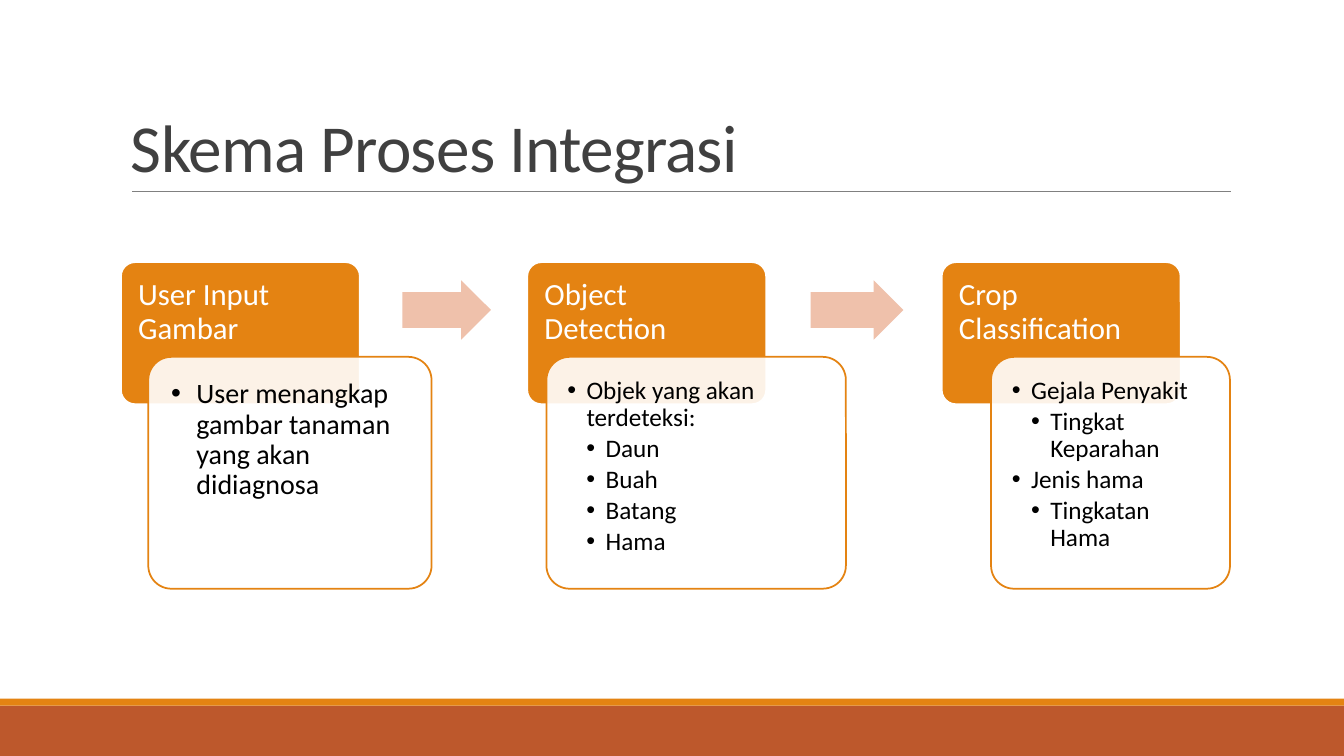
from lxml import etree
from pptx import Presentation
from pptx import util as u
from pptx.dml.color import RGBColor
from pptx.enum import shapes, text
from pptx.oxml import ns

THEME = {
    "font": "Calibri",
    "orange": "E48312", "rust": "BD582C", "peach": "EFC1AB", "white": "FFFFFF",
    "black": "000000", "title_ink": "404040", "rule": "808080",
    "title_size": 48, "header_size": 22, "outline": 1.25,
}
KIND = shapes.MSO_SHAPE

presentation = Presentation()
presentation.slide_width, presentation.slide_height = u.Inches(13.33), u.Inches(7.5)
slide = presentation.slides.add_slide(presentation.slide_layouts[6])

# The slide is a grid of 100 columns by 100 rows
COLUMN = presentation.slide_width / 100
ROW = presentation.slide_height / 100


def add_part(kind, left, top, columns, rows, fill, outline=None, adjustments=()):
    shape = slide.shapes.add_shape(kind, int(left * COLUMN), int(top * ROW),
                                   int(columns * COLUMN), int(rows * ROW))
    shape.shadow.inherit = False
    shape.fill.solid()
    shape.fill.fore_color.rgb = RGBColor.from_string(THEME[fill])
    if outline:
        shape.line.color.rgb = RGBColor.from_string(THEME[outline])
        shape.line.width = u.Pt(THEME["outline"])
    else:
        shape.line.fill.background()
    for index, value in enumerate(adjustments):
        shape.adjustments[index] = value
    return shape


def write(shape, paragraphs, size, color, frame_format, paragraph_format, indent=0):
    """Write (level, words) pairs; an indent in inches turns them into bullets."""
    frame = shape.text_frame
    frame.word_wrap = True
    for name, value in frame_format.items():
        setattr(frame, name, value)
    for index, (level, words) in enumerate(paragraphs):
        paragraph = frame.paragraphs[0] if index == 0 else frame.add_paragraph()
        paragraph.alignment = text.PP_ALIGN.LEFT
        for name, value in paragraph_format.items():
            setattr(paragraph, name, value)
        run = paragraph.add_run()
        run.text = words
        run.font.name, run.font.size = THEME["font"], u.Pt(size)
        run.font.color.rgb = RGBColor.from_string(THEME[color])
        if indent:
            paragraph.level = level
            properties = paragraph._p.get_or_add_pPr()
            properties.set("marL", str(u.Inches(indent * level)))
            properties.set("indent", str(-u.Inches(indent)))
            etree.SubElement(properties, ns.qn("a:buFont"), typeface="Arial")
            etree.SubElement(properties, ns.qn("a:buChar"), char="•")


# Footer bands
add_part(KIND.RECTANGLE, 0, 93.33, 100, 6.67, "rust")
add_part(KIND.RECTANGLE, 0, 92.4, 100, 0.93, "orange")

# Title and the rule below it
title = slide.shapes.add_textbox(int(9 * COLUMN), int(4.13 * ROW),
                                 int(82.5 * COLUMN), int(21.2 * ROW))
write(title, [(0, "Skema Proses Integrasi")], THEME["title_size"], "title_ink",
      {"vertical_anchor": text.MSO_ANCHOR.BOTTOM}, {"line_spacing": 0.85})
title.text_frame.paragraphs[0].runs[0].font._element.set("spc", "-50")

rule = slide.shapes.add_connector(shapes.MSO_CONNECTOR.STRAIGHT,
                                  int(9.83 * COLUMN), int(25.33 * ROW),
                                  int(91.6 * COLUMN), int(25.33 * ROW))
rule.line.color.rgb = RGBColor.from_string(THEME["rule"])
rule.line.width = u.Pt(0.5)
etree.SubElement(rule._element.spPr, ns.qn("a:effectLst"))

# Process steps: a header with a translucent detail card over its lower corner
steps = [
    {"header": "User Input Gambar", "left": 9, "card": (11.03, 21.08),
     "size": 20, "inset": 0.16, "indent": 0.25,
     "details": [(1, "User menangkap gambar tanaman yang akan didiagnosa")]},
    {"header": "Object Detection", "left": 39.23, "card": (40.66, 22.28),
     "size": 18, "inset": 0.14, "indent": 0.19,
     "details": [(1, "Objek yang akan terdeteksi:"), (2, "Daun"), (2, "Buah"),
                 (2, "Batang"), (2, "Hama")]},
    {"header": "Crop Classification", "left": 70.07, "card": (73.74, 17.78),
     "size": 18, "inset": 0.14, "indent": 0.19,
     "details": [(1, "Gejala Penyakit"), (2, "Tingkat Keparahan"),
                 (1, "Jenis hama"), (2, "Tingkatan Hama")]},
]
sides = ("margin_left", "margin_top", "margin_right", "margin_bottom")
for step in steps:
    header = add_part(KIND.ROUNDED_RECTANGLE, step["left"], 34.67, 17.78, 18.8,
                      "orange", "white", [0.1])
    write(header, [(0, step["header"])], THEME["header_size"], "white",
          {"vertical_anchor": text.MSO_ANCHOR.TOP, **dict.fromkeys(sides, u.Inches(0.13))},
          {"line_spacing": 0.9, "space_after": u.Pt(THEME["header_size"] * 0.35)})

    left, columns = step["card"]
    card = add_part(KIND.ROUNDED_RECTANGLE, left, 47.2, columns, 30.67,
                    "white", "orange", [0.1])
    color = card._element.spPr.find(ns.qn("a:solidFill"))[0]
    etree.SubElement(color, ns.qn("a:alpha"), val="90000")
    write(card, step["details"], step["size"], "black",
          {"vertical_anchor": text.MSO_ANCHOR.TOP,
           **dict.fromkeys(sides, u.Inches(step["inset"]))},
          {"line_spacing": 0.9, "space_after": u.Pt(step["size"] * 0.15)},
          step["indent"])

# Arrows between the steps
for left, columns in ((29.93, 6.6), (60.32, 6.9)):
    add_part(KIND.RIGHT_ARROW, left, 37.07, columns, 7.87, "peach", adjustments=[0.6, 0.5])

presentation.save("out.pptx")
